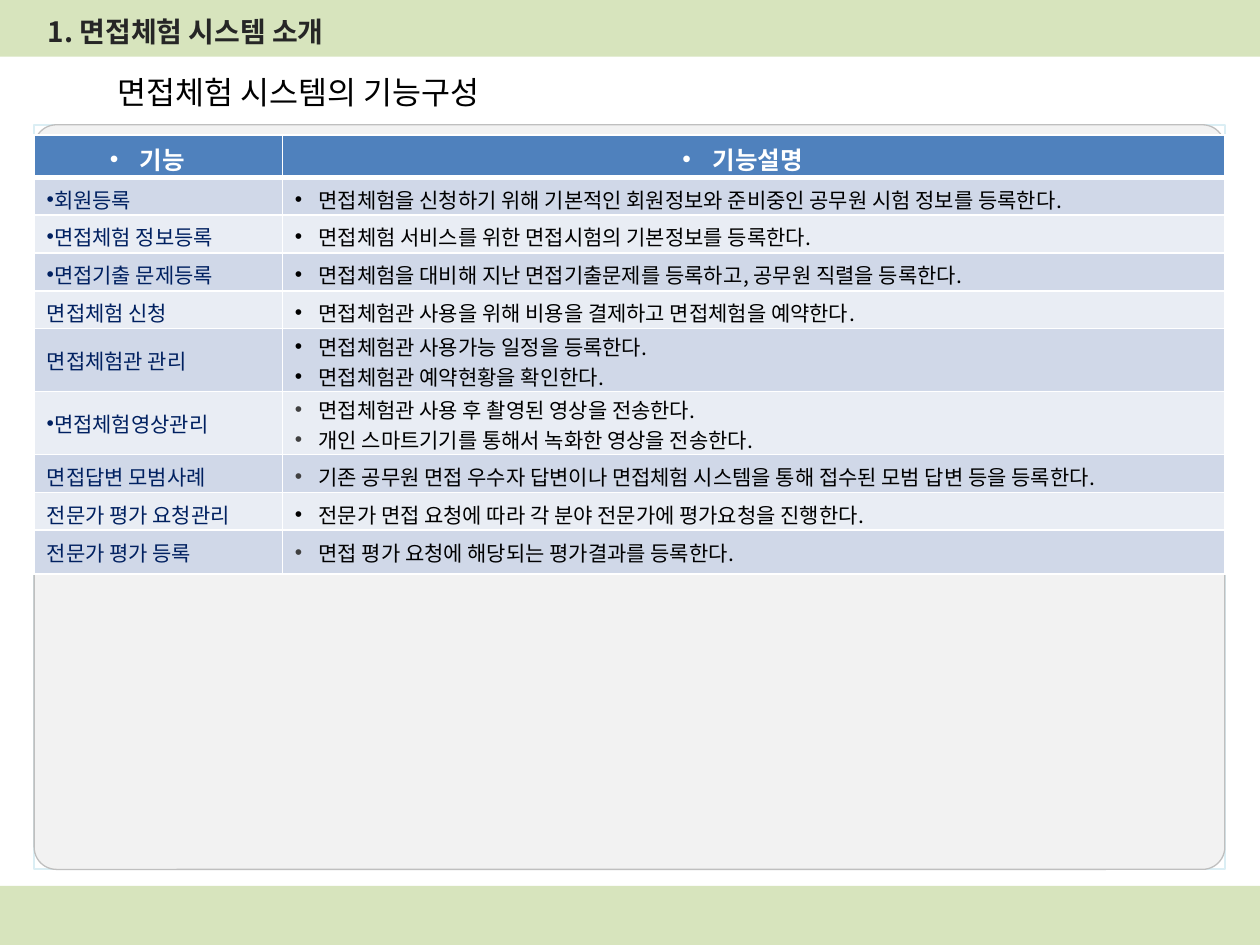
from lxml import etree
from pptx import Presentation
from pptx.dml.color import RGBColor
from pptx.enum.shapes import MSO_SHAPE
from pptx.enum.text import MSO_ANCHOR, PP_ALIGN
from pptx.oxml.ns import qn
from pptx.util import Pt

RECTANGLE = MSO_SHAPE.RECTANGLE
ROUNDED = MSO_SHAPE.ROUNDED_RECTANGLE
MIDDLE = MSO_ANCHOR.MIDDLE
LEFT, CENTER = PP_ALIGN.LEFT, PP_ALIGN.CENTER

FONT = "Noto Sans CJK KR"
WHITE = RGBColor(0xFF, 0xFF, 0xFF)
BLACK = RGBColor(0, 0, 0)
INK = RGBColor(0x26, 0x26, 0x26)
GREY = RGBColor(0x40, 0x40, 0x40)
NAVY = RGBColor(0x00, 0x20, 0x60)
GREEN = RGBColor(0xD7, 0xE4, 0xBD)
PALE_BLUE = RGBColor(0xDB, 0xEE, 0xF4)
PANEL = RGBColor(0xF2, 0xF2, 0xF2)
PANEL_LINE = RGBColor(0xBF, 0xBF, 0xBF)
HEADER = RGBColor(0x4F, 0x81, 0xBD)
BANDS = (RGBColor(0xD0, 0xD8, 0xE8), RGBColor(0xE9, 0xED, 0xF4))

PANEL_AREA = (19.5, 71.3, 680.4, 425.5)
COLUMNS = (141.8, 538.6)
HEADER_HEIGHT, ROW_HEIGHT, TALL_HEIGHT, LAST_HEIGHT = 24.2, 21.6, 36, 25
CELL_MARGIN = 3.6
LINE_RATIO = 1.45
TIGHT, HANGING, CENTERED = (0, 0), (13.5, -13.5), (4.5, -17.2)

# function, whether it has a bullet, descriptions, colour of their bullets
FUNCTIONS = (
    ("회원등록", True,
     ["면접체험을 신청하기 위해 기본적인 회원정보와 준비중인 공무원 시험 정보를 등록한다."], BLACK),
    ("면접체험 정보등록", True,
     ["면접체험 서비스를 위한 면접시험의 기본정보를 등록한다."], BLACK),
    ("면접기출 문제등록", True,
     ["면접체험을 대비해 지난 면접기출문제를 등록하고, 공무원 직렬을 등록한다."], BLACK),
    ("면접체험 신청", False,
     ["면접체험관 사용을 위해 비용을 결제하고 면접체험을 예약한다."], BLACK),
    ("면접체험관 관리", False,
     ["면접체험관 사용가능 일정을 등록한다.", "면접체험관 예약현황을 확인한다."], BLACK),
    ("면접체험영상관리", True,
     ["면접체험관 사용 후 촬영된 영상을 전송한다.",
      "개인 스마트기기를 통해서 녹화한 영상을 전송한다."], GREY),
    ("면접답변 모범사례", False,
     ["기존 공무원 면접 우수자 답변이나 면접체험 시스템을 통해 접수된 모범 답변 등을 등록한다."], GREY),
    ("전문가 평가 요청관리", False,
     ["전문가 면접 요청에 따라 각 분야 전문가에 평가요청을 진행한다."], BLACK),
    ("전문가 평가 등록", False,
     ["면접 평가 요청에 해당되는 평가결과를 등록한다."], GREY),
)


def add_panel(page, kind, area, fill=None, line=None, width=1):
    """Add a preset shape with an optional fill and outline."""
    panel = page.shapes.add_shape(kind, *map(Pt, area))
    panel.shadow.inherit = False
    if fill is None:
        panel.fill.background()
    else:
        panel.fill.solid()
        panel.fill.fore_color.rgb = fill
    if line is None:
        panel.line.fill.background()
    else:
        panel.line.color.rgb = line
        panel.line.width = Pt(width)
    return panel


def write(para, text, size, color, bold=False, align=LEFT):
    """Fill a paragraph with one formatted run."""
    para.alignment = align
    para.line_spacing = 1.0
    para.space_before = Pt(0)
    span = para.add_run()
    span.text = text
    span.font.size = Pt(size)
    span.font.bold = bold
    span.font.color.rgb = color
    span.font.name = FONT
    east_asian = etree.SubElement(span.font._element, qn("a:ea"))
    east_asian.set("typeface", FONT)


def add_bullet(para, color, indent):
    """Give a paragraph a coloured bullet and its indents."""
    props = para._p.get_or_add_pPr()
    left, first = indent
    props.set("marL", str(Pt(left)))
    props.set("indent", str(Pt(first)))
    tint = etree.SubElement(props, qn("a:buClr"))
    etree.SubElement(tint, qn("a:srgbClr")).set("val", str(color))
    etree.SubElement(props, qn("a:buFont")).set("typeface", "Arial")
    etree.SubElement(props, qn("a:buChar")).set("char", "•")


def format_cell(cell, fill, bottom_width=1):
    """Set the white borders, fill and anchor of a cell."""
    props = cell._tc.get_or_add_tcPr()
    for side in "LRTB":
        width = bottom_width if side == "B" else 1
        border = etree.SubElement(props, qn("a:ln" + side), w=str(Pt(width)))
        solid = etree.SubElement(border, qn("a:solidFill"))
        etree.SubElement(solid, qn("a:srgbClr")).set("val", str(WHITE))
    cell.fill.solid()
    cell.fill.fore_color.rgb = fill
    cell.vertical_anchor = MIDDLE


def fill_cell(cell, lines, height, size, color, bold=False, align=LEFT,
              bullet=None, indent=TIGHT):
    """Write the lines of a cell, with margins that fit the row height."""
    spare = max(0, height - len(lines) * size * LINE_RATIO)
    top = min(CELL_MARGIN, spare)
    cell.margin_top = Pt(top)
    cell.margin_bottom = Pt(min(CELL_MARGIN, spare - top))
    frame = cell.text_frame
    for index, text in enumerate(lines):
        para = frame.add_paragraph() if index else frame.paragraphs[0]
        write(para, text, size, color, bold, align)
        if bullet is not None:
            add_bullet(para, bullet, indent)


def add_function_table(page):
    """Add the table of functions and their descriptions."""
    heights = [HEADER_HEIGHT]
    heights += [TALL_HEIGHT if len(row[2]) > 1 else ROW_HEIGHT for row in FUNCTIONS]
    heights[-1] = LAST_HEIGHT
    frame = page.shapes.add_table(len(heights), len(COLUMNS), Pt(19.5), Pt(77.2),
                                  Pt(sum(COLUMNS)), Pt(sum(heights)))
    table = frame.table
    for column, width in zip(table.columns, COLUMNS):
        column.width = Pt(width)
    for row, height in zip(table.rows, heights):
        row.height = Pt(height)
    for cell, text in zip(table.rows[0].cells, ("기능", "기능설명")):
        format_cell(cell, HEADER, 3)
        fill_cell(cell, [text], HEADER_HEIGHT, 14, WHITE, True, CENTER, WHITE, CENTERED)
    for index, (name, marked, lines, bullet) in enumerate(FUNCTIONS):
        height = heights[index + 1]
        name_cell, text_cell = table.rows[index + 1].cells
        for cell in (name_cell, text_cell):
            format_cell(cell, BANDS[index % 2])
        fill_cell(name_cell, [name], height, 12, NAVY, bullet=NAVY if marked else None)
        fill_cell(text_cell, lines, height, 12, BLACK, bullet=bullet, indent=HANGING)


def set_title(page, text):
    """Place and format the title placeholder."""
    title = page.shapes.title
    title.left, title.top, title.width, title.height = map(Pt, (20.2, 4.3, 283.7, 27.4))
    title.text_frame.vertical_anchor = MIDDLE
    title.text_frame.word_wrap = True
    write(title.text_frame.paragraphs[0], text, 16, INK, bold=True)


def add_subtitle(page, text):
    """Add the heading above the table."""
    box = page.shapes.add_textbox(*map(Pt, (48.2, 37.4, 244.8, 30.2)))
    box.text_frame.word_wrap = False
    box.text_frame.vertical_anchor = MIDDLE
    write(box.text_frame.paragraphs[0], text, 18, BLACK, align=CENTER)


def main():
    """Build and save the slide."""
    deck = Presentation()
    deck.slide_width, deck.slide_height = Pt(720), Pt(540)
    page = deck.slides.add_slide(deck.slide_layouts[5])
    add_panel(page, RECTANGLE, (0, 0, 720, 32.4), GREEN)
    add_panel(page, RECTANGLE, (0, 506.2, 720, 33.8), GREEN)
    add_panel(page, RECTANGLE, PANEL_AREA, line=PALE_BLUE)
    panel = add_panel(page, ROUNDED, PANEL_AREA, PANEL, PANEL_LINE, 0.75)
    panel.adjustments[0] = 0.03
    set_title(page, "1. 면접체험 시스템 소개")
    # The title stands in front of the green band.
    page.shapes._spTree.append(page.shapes.title._element)
    add_subtitle(page, "면접체험 시스템의 기능구성")
    add_function_table(page)
    deck.save("out.pptx")


main()
